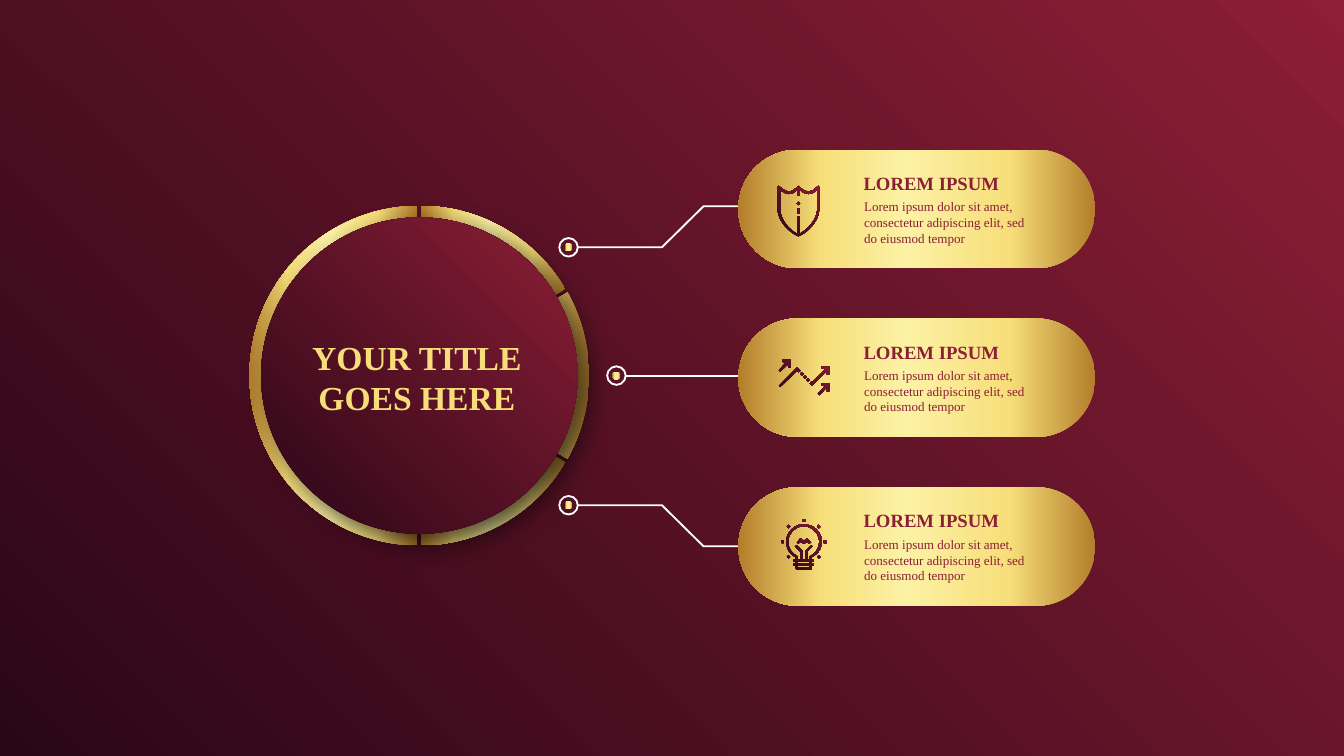
from dataclasses import dataclass
from math import cos, radians, sin

from pptx import Presentation
from pptx.dml.color import RGBColor
from pptx.enum.shapes import MSO_CONNECTOR, MSO_SHAPE
from pptx.enum.text import MSO_AUTO_SIZE, PP_ALIGN
from pptx.oxml import parse_xml
from pptx.oxml.ns import nsdecls, qn
from pptx.util import Cm, Pt

OVAL, PILL = MSO_SHAPE.OVAL, MSO_SHAPE.ROUNDED_RECTANGLE
STRAIGHT = MSO_CONNECTOR.STRAIGHT
GROW = MSO_AUTO_SIZE.SHAPE_TO_FIT_TEXT
LEFT, CENTER = PP_ALIGN.LEFT, PP_ALIGN.CENTER


@dataclass(frozen=True)
class Theme:
    font: str = "Times New Roman"
    title: int = 36
    heading: int = 20
    body: int = 14
    line: int = 2
    white: str = "FFFFFF"
    shadow: str = "000000"
    wine: tuple = ((0, "8C1E35"), (100, "2A0617"))
    gold: tuple = ((0, "B37E2A"), (24, "F7DE7A"), (53, "FCF2A5"),
                   (77, "F7DE7A"), (100, "B37E2A"))


def paint(fill, element, stops, radial):
    fill.background()
    empty = next(element.iter(qn("a:noFill")))
    colours = "".join(f'<a:gs pos="{pos * 1000}"><a:srgbClr val="{rgb}"/></a:gs>'
                      for pos, rgb in stops)
    shade = ('<a:path path="circle"><a:fillToRect l="100000" b="100000"/></a:path>'
             if radial else '<a:lin ang="10800000" scaled="0"/>')
    empty.getparent().replace(empty, parse_xml(
        f'<a:gradFill rotWithShape="1" {nsdecls("a")}><a:gsLst>{colours}</a:gsLst>'
        f'{shade}</a:gradFill>'))


def flatten(contour, steps=12):
    points = []
    for item in contour:
        if len(item) == 2:
            points.append(item)
            continue
        x0, y0 = points[-1]
        x1, y1, x2, y2, x3, y3 = item
        for step in range(1, steps + 1):
            t = step / steps
            a, b, c, d = (1 - t) ** 3, 3 * t * (1 - t) ** 2, 3 * t * t * (1 - t), t ** 3
            points.append((a * x0 + b * x1 + c * x2 + d * x3,
                           a * y0 + b * y1 + c * y2 + d * y3))
    return points


def box(x1, y1, x2, y2):
    return [(x1, y1), (x2, y1), (x2, y2), (x1, y2)]


def diamond(x, y, r=2.5):
    return [(x - r, y), (x, y - r), (x + r, y), (x, y + r)]


def polar(x, y, radius, angle):
    return x + radius * sin(radians(angle)), y - radius * cos(radians(angle))


class Board:
    def __init__(self, slide, theme):
        self.slide, self.theme = slide, theme

    def background(self):
        paint(self.slide.background.fill, self.slide._element, self.theme.wine, True)

    def finish(self, shape, fill=None):
        shape.shadow.inherit = False
        if fill:
            paint(shape.fill, shape._element, fill, fill == self.theme.wine)
            shape.line.fill.background()
        else:
            shape.fill.background()
            self.stroke(shape.line)
        return shape

    def stroke(self, line):
        line.color.rgb = RGBColor.from_string(self.theme.white)
        line.width = Pt(self.theme.line)

    def preset(self, kind, x, y, w, h, fill=None):
        return self.finish(self.slide.shapes.add_shape(kind, Cm(x), Cm(y), Cm(w), Cm(h)), fill)

    def circle(self, x, y, radius, fill=None):
        return self.preset(OVAL, x - radius, y - radius, 2 * radius, 2 * radius, fill)

    def outline(self, contours, fill=None, left=0, top=0, unit=1):
        closed = fill is not None
        builder = None
        for contour in contours:
            start, *rest = [(Cm(left + x * unit), Cm(top + y * unit))
                            for x, y in flatten(contour)]
            if builder is None:
                builder = self.slide.shapes.build_freeform(*start)
            else:
                builder.move_to(*start)
            builder.add_line_segments(rest, close=closed)
        return self.finish(builder.convert_to_shape(), fill)

    def connector(self, x1, y1, x2, y2):
        link = self.slide.shapes.add_connector(STRAIGHT, Cm(x1), Cm(y1), Cm(x2), Cm(y2))
        self.stroke(link.line)
        link._element.spPr.append(parse_xml(f'<a:effectLst {nsdecls("a")}/>'))

    def drop_shadow(self, shape):
        shape._element.spPr.find(qn("a:effectLst")).append(parse_xml(
            f'<a:outerShdw {nsdecls("a")} blurRad="{Pt(30)}" dist="{Pt(14)}" dir="2700000" '
            f'algn="tl" rotWithShape="0"><a:srgbClr val="{self.theme.shadow}">'
            '<a:alpha val="70000"/></a:srgbClr></a:outerShdw>'))

    def text(self, text, x, y, w, h, size, fill, bold=False, align=LEFT, wrap=True, inset=None):
        frame = self.slide.shapes.add_textbox(Cm(x), Cm(y), Cm(w), Cm(h)).text_frame
        frame.word_wrap, frame.auto_size = wrap, GROW
        if inset is not None:
            frame.margin_left = frame.margin_right = Cm(inset)
            frame.margin_top = frame.margin_bottom = Cm(inset)
        frame.text = text
        for paragraph in frame.paragraphs:
            paragraph.alignment = align
            for run in paragraph.runs:
                run.font.name, run.font.size, run.font.bold = self.theme.font, Pt(size), bold
                paint(run.font.fill, run._r, fill, fill == self.theme.wine)


SHIELD = [
    [(61, 0), (59, 1), (55, 5, 51, 8, 46, 8), (41, 8, 37, 5, 32, 1), (31, 0), (30, 1),
     (25, 5, 22, 8, 17, 8), (12, 8, 8, 5, 3, 1), (1, 0), (0, 2), (0, 34),
     (0, 54, 20, 71, 31, 75), (42, 71, 62, 54, 62, 34), (62, 2)],
    [(59, 34), (59, 51, 43, 66, 33, 71), (33, 47), (33, 45, 29, 45, 29, 47), (29, 71),
     (19, 66, 4, 51, 4, 34), (4, 6), (8, 9, 12, 12, 17, 12), (22, 12, 26, 9, 29, 6),
     (29, 13), (29, 14.5, 33, 14.5, 33, 13), (33, 6), (37, 9, 41, 12, 46, 12),
     (51, 12, 55, 9, 59, 6)],
    diamond(31, 26), box(29, 33, 33, 41),
]
TREND = [
    [(27, 12), (0, 39), (2, 41), (27, 17), (29, 19), (32, 17)],
    [(63, 11), (63, 14), (69, 14), (49, 34), (48, 33), (46, 36), (49, 39), (71, 17),
     (71, 23), (75, 23), (75, 11)],
    [(63, 39), (69, 39), (58, 51), (60, 53), (71, 42), (71, 47), (75, 47), (75, 36), (63, 36)],
    [(2, 18), (14, 7), (14, 12), (18, 12), (18, 0), (6, 0), (6, 4), (11, 4), (0, 16)],
    *[diamond(34 + 4.75 * i, 21.5 + 4.5 * i) for i in range(3)],
]
BULB = [
    [(33, 7), (19, 7, 7, 19, 7, 33), (7, 43, 12, 52, 21, 56), (21, 59), (18, 59), (18, 63),
     (21, 63), (21, 65), (18, 65), (18, 69), (21, 69), (21, 73), (23, 75), (44, 75),
     (45, 73), (45, 69), (48, 69), (48, 65), (45, 65), (45, 63), (48, 63), (48, 59),
     (45, 59), (45, 56), (54, 52, 60, 43, 60, 33), (60, 19, 48, 7, 33, 7)],
    [(43, 54), (42, 55), (42, 59), (38, 59), (38, 48), (46, 40), (44, 38), (36, 46),
     (35, 47), (35, 59), (31, 59), (31, 46), (23, 38), (20, 40), (28, 48), (28, 59),
     (24, 59), (24, 55), (23, 54), (15, 50, 10, 42, 10, 33), (10, 21, 21, 10, 33, 10),
     (46, 10, 56, 21, 56, 33), (56, 42, 51, 50, 43, 54)],
    [(38, 28), (33, 32), (30, 29), (27, 29), (23, 34), (25, 36), (28, 33), (32, 36),
     (34, 36), (38, 33), (41, 36), (44, 34), (39, 29)],
    box(24, 69, 42, 71), box(24, 63, 42, 65),
    box(31, 0, 35, 3), box(0, 31, 3, 35), box(63, 31, 67, 35),
    *[diamond(x, y) for x in (10.5, 55.5) for y in (10.5, 55.5)],
]
ICON_UNIT = 2.54 / 100
CARD_TOP, CARD_STEP = 5.66, 6.38
HUB_X, HUB_Y, RING, DISC = 15.85, 14.2, 6.42, 5.98
GAP, GAP_ANGLE = 0.09, 0.7
CARDS = [
    (SHIELD, 29.39, 1.37, 21.49, 9.35, -1.55),
    (TREND, 29.44, 1.55, 23.3, 14.2, 0),
    (BULB, 29.54, 1.22, 21.49, 19.1, 1.55),
]

theme = Theme()
deck = Presentation()
deck.slide_width, deck.slide_height = Cm(50.8), Cm(28.58)
board = Board(deck.slides.add_slide(deck.slide_layouts[6]), theme)
board.background()

for row, (icon, icon_x, icon_drop, dot_x, dot_y, rise) in enumerate(CARDS):
    top = CARD_TOP + row * CARD_STEP
    if rise:
        board.outline([[(dot_x + 0.35, dot_y), (25.02, dot_y),
                        (26.59, dot_y + rise), (27.99, dot_y + rise)]])
    else:
        board.connector(dot_x + 0.35, dot_y, 28.07, dot_y)
    board.circle(dot_x, dot_y, 0.35)
    board.circle(dot_x, dot_y, 0.15, theme.gold)
    card = board.preset(PILL, 27.91, top, 13.49, 4.48, theme.gold)
    card.adjustments[0] = 0.5
    board.outline(icon, theme.wine, icon_x, top + icon_drop, ICON_UNIT)
    board.text("Lorem ipsum dolor sit amet, consectetur adipiscing elit, sed do eiusmod tempor",
               32.41, top + 1.73, 6.78, 2.06, theme.body, theme.wine)
    board.text("LOREM IPSUM", 32.39, top + 0.71, 6.78, 1.12, theme.heading, theme.wine, bold=True)

for start, end in ((0, 60), (60, 120), (120, 180), (180, 360)):
    middle, half = (start + end) / 2, (end - start) / 2
    first, sweep = start + GAP_ANGLE, end - start - 2 * GAP_ANGLE
    tip = polar(HUB_X, HUB_Y, GAP / sin(radians(half)), middle)
    rim = [polar(HUB_X, HUB_Y, RING, first + sweep * i / 60) for i in range(61)]
    board.outline([[tip, *rim]], theme.gold)

board.drop_shadow(board.circle(HUB_X, HUB_Y, DISC, theme.wine))
board.text("YOUR TITLE\nGOES HERE", 11.76, 12.73, 8, 3.07, theme.title, theme.gold,
           bold=True, align=CENTER, wrap=False, inset=0)

deck.save("out.pptx")
